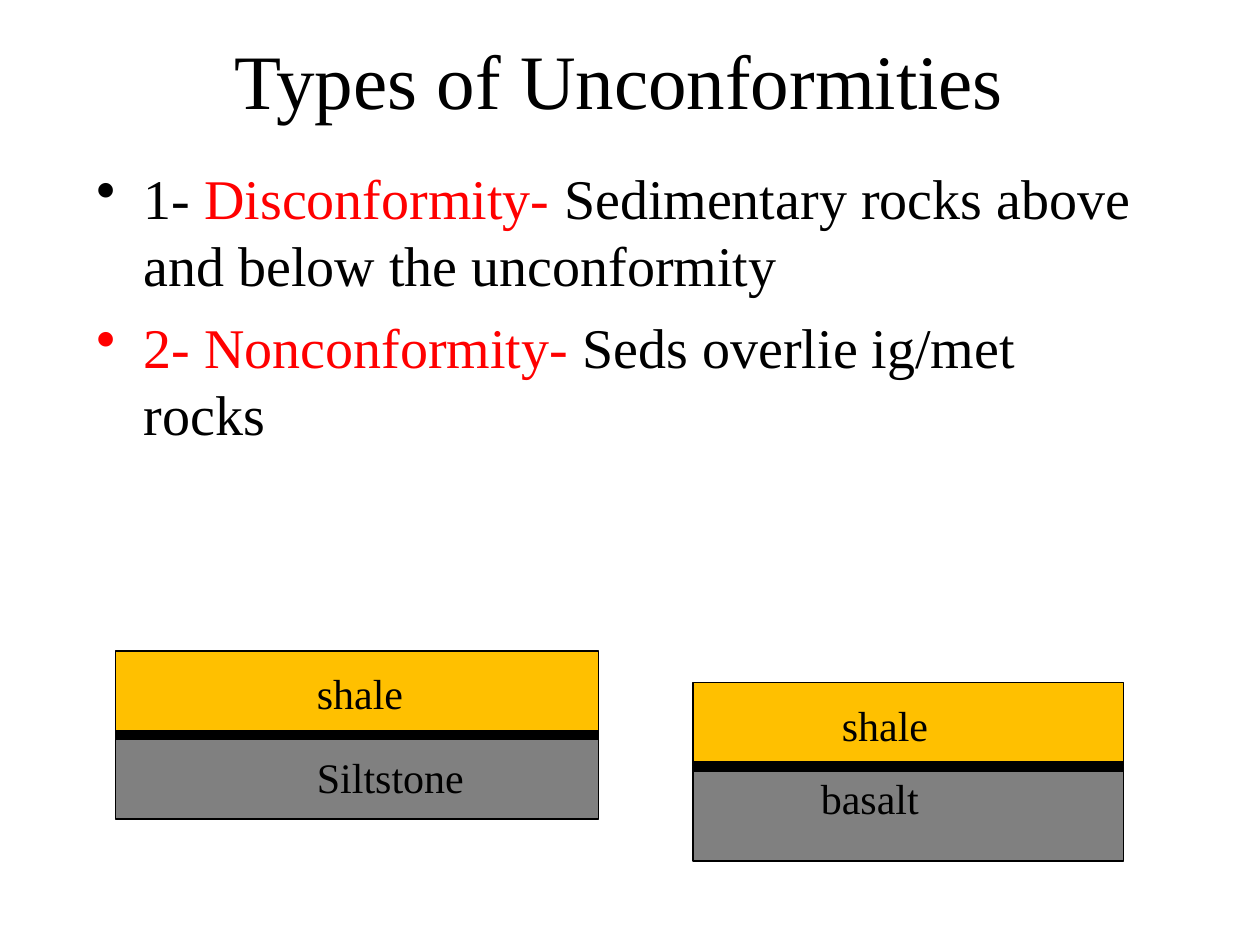
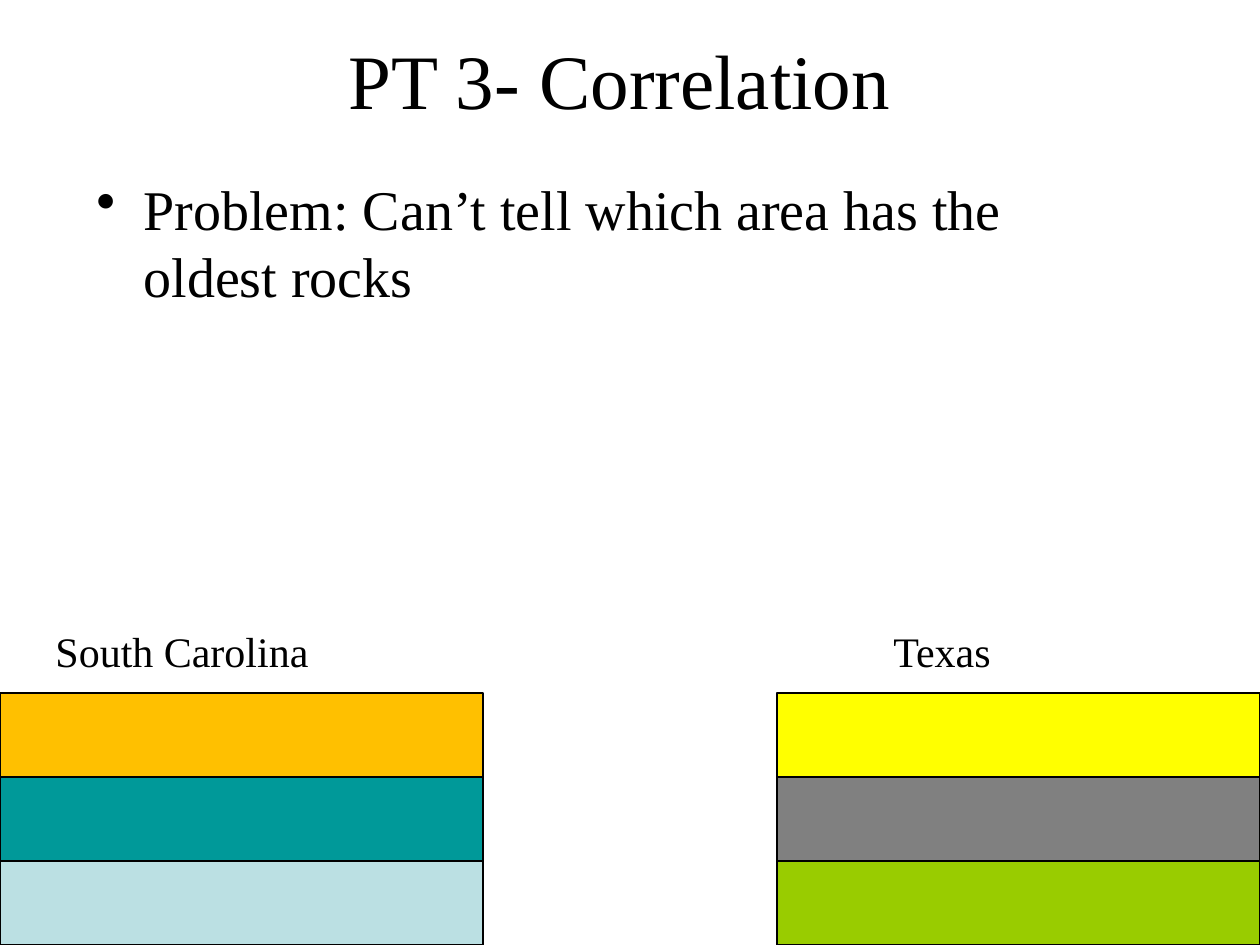
from dataclasses import dataclass

from lxml import etree
from pptx import Presentation
from pptx.dml.color import RGBColor
from pptx.enum.shapes import MSO_CONNECTOR, MSO_SHAPE
from pptx.enum.text import MSO_ANCHOR, MSO_AUTO_SIZE, PP_ALIGN
from pptx.oxml.ns import qn
from pptx.util import Inches, Pt

RECT = MSO_SHAPE.RECTANGLE
STRAIGHT = MSO_CONNECTOR.STRAIGHT
MIDDLE, TOP = MSO_ANCHOR.MIDDLE, MSO_ANCHOR.TOP
CENTER, LEFT = PP_ALIGN.CENTER, PP_ALIGN.LEFT
FIXED, GROW = MSO_AUTO_SIZE.NONE, MSO_AUTO_SIZE.SHAPE_TO_FIT_TEXT

COLORS = {
    "black": "000000", "white": "FFFFFF", "red": "FF0000",
    "gold": "FFC000", "gray": "808080", "teal": "009999",
    "pale": "BBE0E3", "yellow": "FFFF00", "green": "99CC00",
}
FONT = "Times New Roman"
TITLE_PT, BODY_PT, LABEL_PT = 44, 32, 24

# Grid: 120 columns by 90 rows on the slide
COLS, ROWS = 120, 90
TEXT_COL, TEXT_COLS, INDENT_COLS = 8, 102, 4.5
TITLE_ROWS, BODY_ROWS, LABEL_ROWS = 15, 54, 6
LAYER_ROWS = 8

prs = Presentation()
prs.slide_width, prs.slide_height = Inches(10), Inches(7.5)


@dataclass
class Label:
    text: str
    col: float
    row: float
    cols: float


@dataclass
class Layer:
    color: str
    rows: int = LAYER_ROWS


@dataclass
class Section:
    """Rock layers stacked from the top down."""
    col: int
    row: int
    cols: int
    layers: list[Layer]
    labels: list[Label]
    unconformity: bool = False


Bullet = list[tuple[str, str]]


def x(col: float) -> int:
    return round(prs.slide_width * col / COLS)


def y(row: float) -> int:
    return round(prs.slide_height * row / ROWS)


def rgb(name: str) -> RGBColor:
    return RGBColor.from_string(COLORS[name])


def add_text(slide, col: float, row: float, cols: float, rows: float,
             bullets: list[Bullet], size: int, align=LEFT, anchor=TOP,
             fit=FIXED, bulleted: bool = False) -> None:
    """Add a text box with one paragraph for each list of (text, colour) runs."""
    tf = slide.shapes.add_textbox(x(col), y(row), x(cols), y(rows)).text_frame
    tf.word_wrap = fit == FIXED
    tf.auto_size = fit
    tf.vertical_anchor = anchor
    for i, runs in enumerate(bullets):
        p = tf.paragraphs[0] if i == 0 else tf.add_paragraph()
        p.alignment = align
        if i:
            p.space_before = Pt(8)
        if bulleted:
            add_bullet(p, runs[0][1])
        for text, color in runs:
            r = p.add_run()
            r.text = text
            r.font.name, r.font.size = FONT, Pt(size)
            r.font.color.rgb = rgb(color)


def add_bullet(p, color: str) -> None:
    pPr = p._p.get_or_add_pPr()
    pPr.set("marL", str(x(INDENT_COLS)))
    pPr.set("indent", str(-x(INDENT_COLS)))
    clr = etree.SubElement(pPr, qn("a:buClr"))
    etree.SubElement(clr, qn("a:srgbClr"), val=COLORS[color])
    etree.SubElement(pPr, qn("a:buChar"), char="•")


def add_section(slide, section: Section) -> None:
    row = section.row
    for layer in section.layers:
        sp = slide.shapes.add_shape(RECT, x(section.col), y(row),
                                    x(section.cols), y(layer.rows))
        sp.shadow.inherit = False
        sp.fill.solid()
        sp.fill.fore_color.rgb = rgb(layer.color)
        sp.line.color.rgb = rgb("black")
        sp.line.width = Pt(0.75)
        row += layer.rows
    if section.unconformity:
        contact = y(section.row + section.layers[0].rows)
        line = slide.shapes.add_connector(
            STRAIGHT, x(section.col), contact,
            x(section.col + section.cols), contact)
        line.line.color.rgb = rgb("black")
        line.line.width = Pt(6)
        etree.SubElement(line._element.spPr, qn("a:effectLst"))
    for label in section.labels:
        add_text(slide, label.col, label.row, label.cols, LABEL_ROWS,
                 [[(label.text, "black")]], LABEL_PT, fit=GROW)


def add_slide(title: str, body_row: int, bullets: list[Bullet],
              sections: list[Section]) -> None:
    slide = prs.slides.add_slide(prs.slide_layouts[6])
    slide.background.fill.solid()
    slide.background.fill.fore_color.rgb = rgb("white")
    add_text(slide, TEXT_COL, 0, TEXT_COLS, TITLE_ROWS, [[(title, "black")]],
             TITLE_PT, CENTER, MIDDLE)
    add_text(slide, TEXT_COL, body_row, TEXT_COLS, BODY_ROWS, bullets,
             BODY_PT, bulleted=True)
    for section in sections:
        add_section(slide, section)


def main() -> None:
    add_slide(
        "Types of Unconformities", 15,
        [[("1- ", "black"), ("Disconformity- ", "red"),
          ("Sedimentary rocks above and below the unconformity", "black")],
         [("2- Nonconformity- ", "red"),
          ("Seds overlie ig/met rocks", "black")]],
        [Section(11, 62, 46, [Layer("gold"), Layer("gray")],
                 [Label("shale", 29, 63, 10.6),
                  Label("Siltstone", 29, 71, 16.4)], unconformity=True),
         Section(66, 65, 41, [Layer("gold"), Layer("gray", 9)],
                 [Label("shale", 79, 66, 10.6),
                  Label("basalt", 77, 73, 11.8)], unconformity=True)])
    add_slide(
        "PT 3- Correlation", 16,
        [[("Problem: Can’t tell which area has the oldest rocks", "black")]],
        [Section(0, 66, 46, [Layer("gold"), Layer("teal"), Layer("pale")],
                 [Label("South Carolina", 4.1, 59, 26.5)]),
         Section(74, 66, 46, [Layer("yellow"), Layer("gray"), Layer("green")],
                 [Label("Texas", 83.9, 59, 11.9)])])
    prs.save("out.pptx")


if __name__ == "__main__":
    main()
